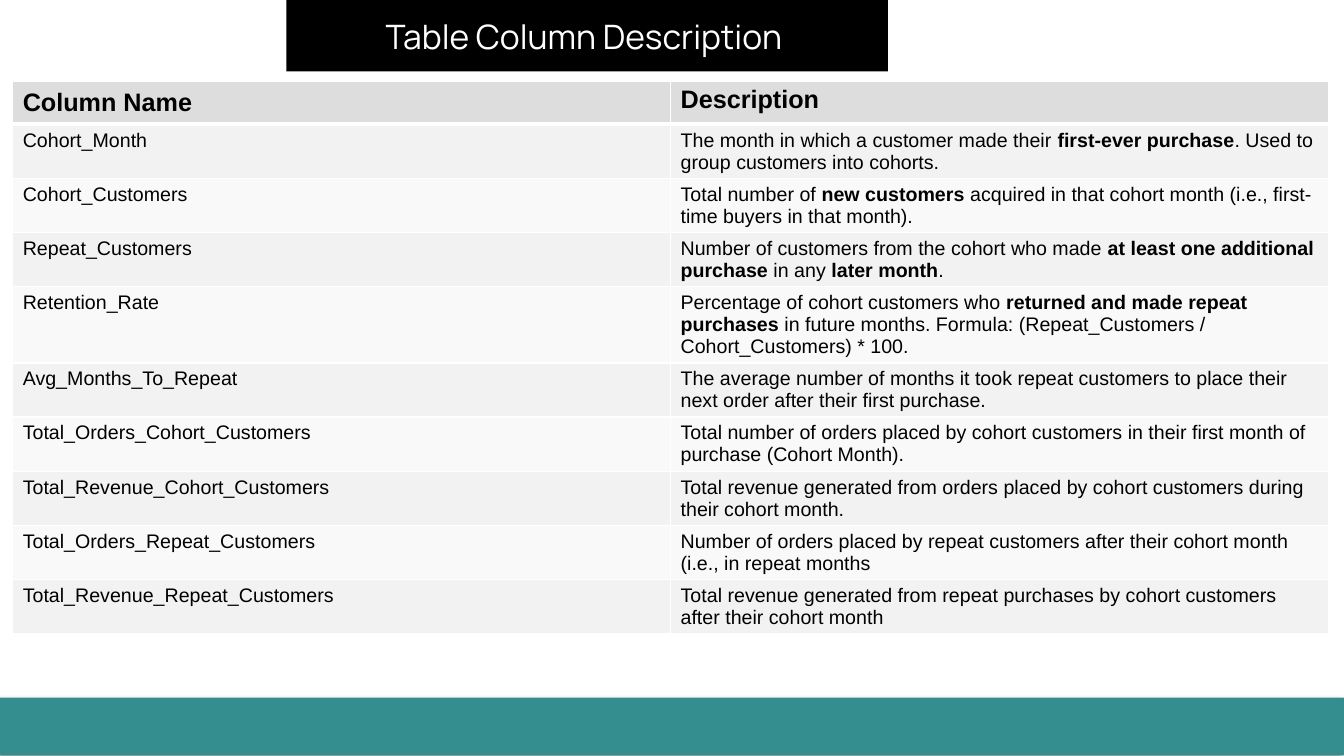
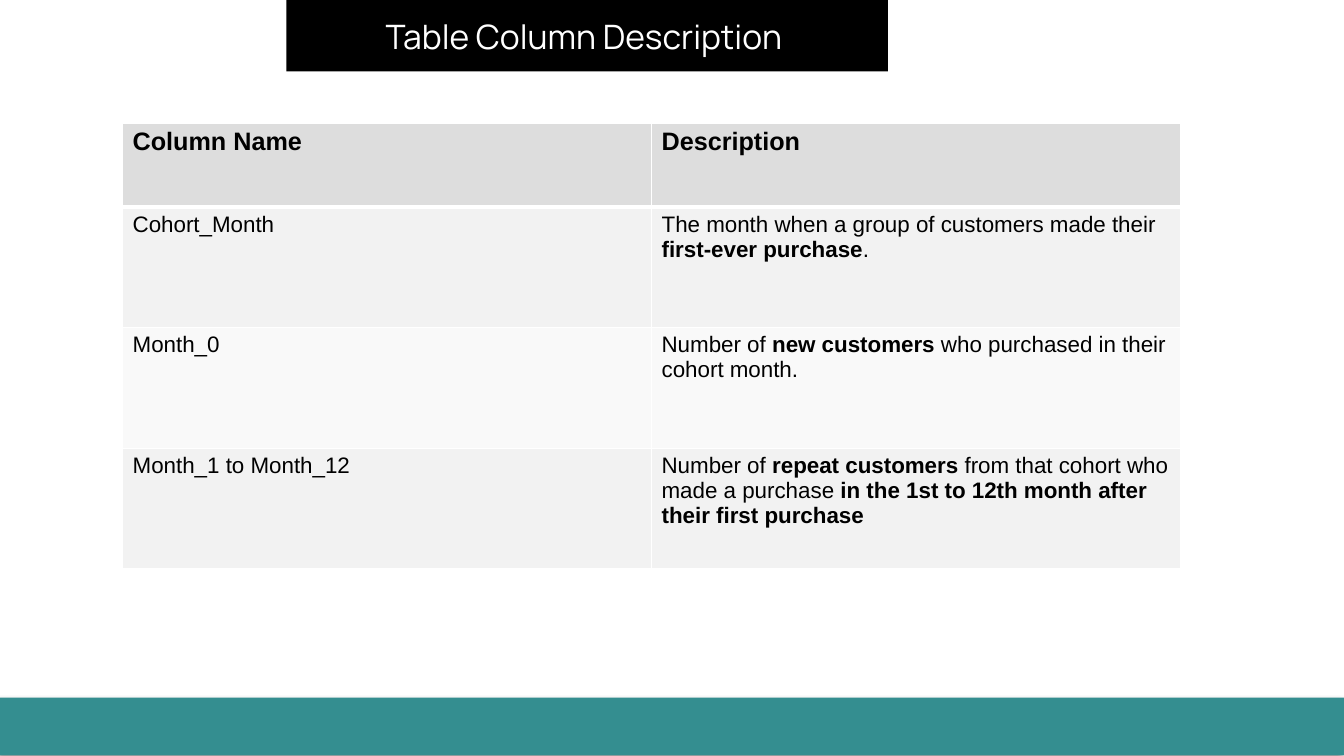
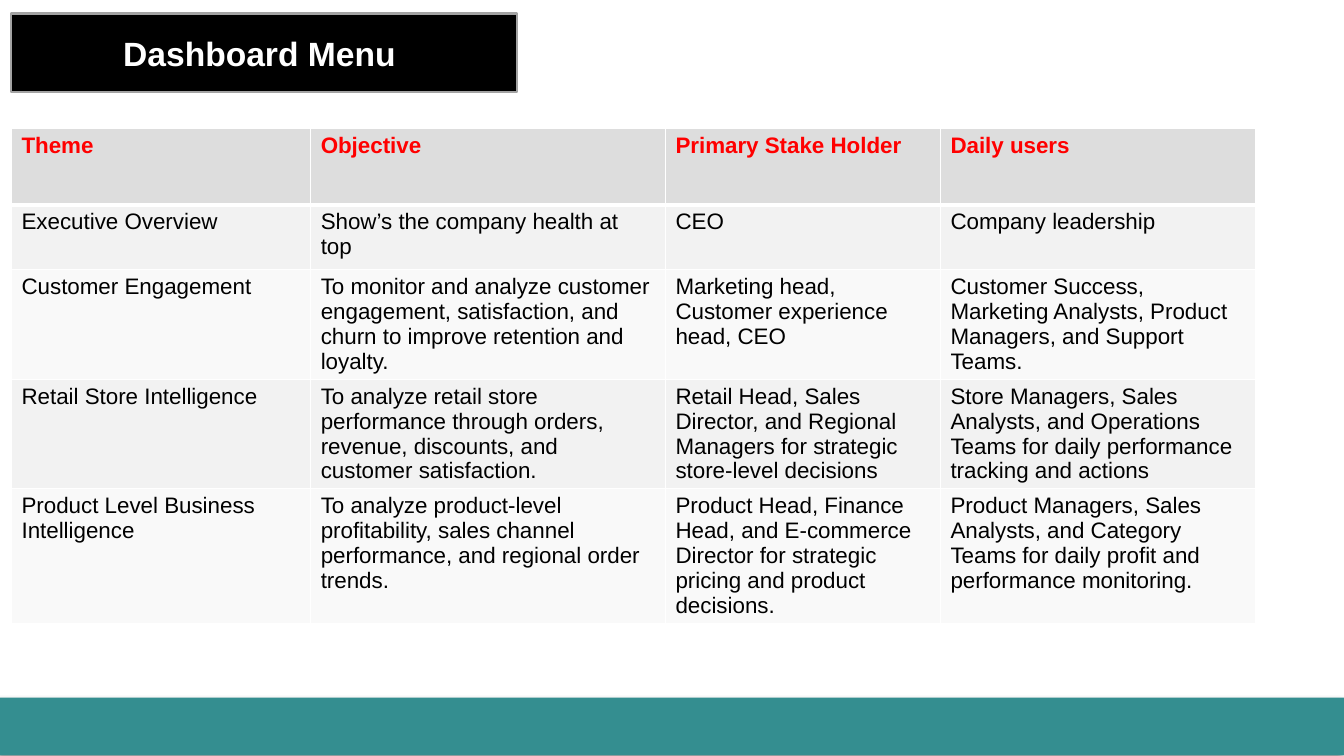
from lxml import etree
from pptx import Presentation
from pptx.dml.color import RGBColor
from pptx.enum.shapes import MSO_SHAPE
from pptx.enum.text import MSO_ANCHOR, PP_ALIGN
from pptx.oxml import parse_xml
from pptx.oxml.ns import nsdecls, qn
from pptx.util import Cm, Pt

RECTANGLE = MSO_SHAPE.RECTANGLE
MIDDLE = MSO_ANCHOR.MIDDLE
CENTER = PP_ALIGN.CENTER

# Shared look
WIDTH, HEIGHT = 33.87, 19.05
BLACK, WHITE, RED, TEAL, GREY = "000000", "FFFFFF", "FF0000", "348E90", "A3A3A3"
HEADER_FILL = "DDDDDD"
ROW_FILLS = ("F2F2F2", "F9F9F9")
FOOTER_BOX = (0, 17.58, WIDTH, 1.45)
COLUMN_TITLE = {
    "text": "Table Column Description ", "box": (7.22, 0, 15.16, 1.8),
    "font": {"name": "Manrope", "size": 24, "color": WHITE}, "line": None,
}
MENU_TITLE = {
    "text": "Dashboard Menu ", "box": (0.28, 0.34, 12.75, 1.98),
    "font": {"name": "Arial", "size": 24, "color": WHITE, "bold": True},
    "line": GREY,
}

# Content: a pair of ** marks bold words
COHORT_ROWS = [
    ("Column Name", "Description"),
    ("Cohort_Month", "The month in which a customer made their **first-ever "
     "purchase**. Used to group customers into cohorts."),
    ("Cohort_Customers", "Total number of **new customers** acquired in that "
     "cohort month (i.e., first-time buyers in that month)."),
    ("Repeat_Customers", "Number of customers from the cohort who made **at "
     "least one additional purchase** in any **later month**."),
    ("Retention_Rate", "Percentage of cohort customers who **returned and made "
     "repeat purchases** in future months. Formula: (Repeat_Customers / "
     "Cohort_Customers) * 100."),
    ("Avg_Months_To_Repeat", "The average number of months it took repeat "
     "customers to place their next order after their first purchase."),
    ("Total_Orders_Cohort_Customers", "Total number of orders placed by cohort "
     "customers in their first month of purchase (Cohort Month)."),
    ("Total_Revenue_Cohort_Customers", "Total revenue generated from orders "
     "placed by cohort customers during their cohort month."),
    ("Total_Orders_Repeat_Customers", "Number of orders placed by repeat "
     "customers after their cohort month (i.e., in repeat months"),
    ("Total_Revenue_Repeat_Customers", "Total revenue generated from repeat "
     "purchases by cohort customers after their cohort month"),
]
MONTH_ROWS = [
    ("Column Name", "Description"),
    ("Cohort_Month", "The month when a group of customers made their "
     "**first-ever purchase**."),
    ("Month_0", "Number of **new customers** who purchased in their cohort "
     "month."),
    ("Month_1 to Month_12", "Number of **repeat customers** from that cohort "
     "who made a purchase **in the 1st to 12th month after their first "
     "purchase**"),
]
MENU_ROWS = [
    ("Theme", "Objective", "Primary Stake Holder", "Daily users"),
    ("Executive Overview", "Show’s the company health at top", "CEO",
     "Company leadership"),
    ("Customer Engagement",
     "To monitor and analyze customer engagement, satisfaction, and churn to "
     "improve retention and loyalty.",
     "Marketing head, Customer experience head, CEO",
     "Customer Success, Marketing Analysts, Product Managers, and Support "
     "Teams."),
    ("Retail Store Intelligence",
     "To analyze retail store performance through orders, revenue, discounts, "
     "and customer satisfaction.",
     "Retail Head, Sales Director, and Regional Managers for strategic "
     "store-level decisions",
     "Store Managers, Sales Analysts, and Operations Teams for daily "
     "performance tracking and actions"),
    ("Product Level Business Intelligence",
     "To analyze product-level profitability, sales channel performance, and "
     "regional order trends.",
     "Product Head, Finance Head, and E-commerce Director for strategic "
     "pricing and product decisions.",
     "Product Managers, Sales Analysts, and Category Teams for daily profit "
     "and performance monitoring."),
]
PAGES = [
    {"title": COLUMN_TITLE, "rows": COHORT_ROWS, "at": (0.32, 2.04),
     "columns": [16.58] * 2, "heights": [1.09] + [1.04] * 9,
     "header": (18, BLACK), "body": 14, "middle_cells": {(0, 0)}},
    {"title": COLUMN_TITLE, "rows": MONTH_ROWS, "at": (3.09, 3.1),
     "columns": [13.33] * 2, "heights": [2.12] + [3.04] * 3,
     "header": (18, BLACK), "body": 16, "middle_cells": set()},
    {"title": MENU_TITLE, "rows": MENU_ROWS, "at": (0.29, 3.24),
     "columns": [7.54, 8.94, 6.93, 7.95],
     "heights": [1.92, 1.63] + [1.92] * 3,
     "header": (16, RED), "body": 16, "middle_cells": set()},
]


def rgb(value):
    return RGBColor.from_string(value)


def write(para, text, values):
    """Add text to a paragraph, bold between ** marks."""
    for index, part in enumerate(text.split("**")):
        if not part:
            continue
        span = para.add_run()
        span.text = part
        settings = {"name": values["name"], "size": Pt(values["size"]),
                    "bold": values.get("bold", False) or index % 2 == 1}
        for key, value in settings.items():
            setattr(span.font, key, value)
        span.font.color.rgb = rgb(values["color"])


def add_rectangle(page, box, fill, line=None):
    shape = page.shapes.add_shape(RECTANGLE, *map(Cm, box))
    shape.shadow.inherit = False
    shape.fill.solid()
    shape.fill.fore_color.rgb = rgb(fill)
    if line:
        shape.line.color.rgb = rgb(line)
        shape.line.width = Pt(2)
    else:
        shape.line.fill.background()
    return shape


def add_footer(page):
    band = add_rectangle(page, FOOTER_BOX, TEAL)
    effects = band._element.spPr.find(qn("a:effectLst"))
    effects.append(parse_xml(
        f'<a:outerShdw {nsdecls("a")} blurRad="{Pt(4)}" dist="{Pt(3)}" '
        f'dir="8100000" rotWithShape="0"><a:srgbClr val="{BLACK}">'
        '<a:alpha val="40000"/></a:srgbClr></a:outerShdw>'))


def add_title(page, title):
    box = add_rectangle(page, title["box"], BLACK, title["line"])
    frame = box.text_frame
    frame.word_wrap = True
    frame.vertical_anchor = MIDDLE
    frame.paragraphs[0].alignment = CENTER
    write(frame.paragraphs[0], title["text"], title["font"])


def set_borders(cell, widths):
    properties = cell._tc.get_or_add_tcPr()
    for side, width in widths.items():
        line = etree.SubElement(properties, qn(f"a:ln{side}"), w=str(Pt(width)))
        fill = etree.SubElement(line, qn("a:solidFill"))
        etree.SubElement(fill, qn("a:srgbClr"), val=WHITE)


def add_table(page, data):
    rows, columns, heights = data["rows"], data["columns"], data["heights"]
    place = (*data["at"], sum(columns), sum(heights))
    table = page.shapes.add_table(len(rows), len(columns),
                                  *map(Cm, place)).table
    table.horz_banding = False
    for column, width in zip(table.columns, columns):
        column.width = Cm(width)
    for row, height in zip(table.rows, heights):
        row.height = Cm(height)

    header_size, header_color = data["header"]
    header = {"name": "Arial", "size": header_size, "color": header_color,
              "bold": True}
    body = {"name": "Arial", "size": data["body"], "color": BLACK}
    for row_index, texts in enumerate(rows):
        is_header = row_index == 0
        # A thick rule parts the header from the first body row
        borders = {"L": 1, "R": 1, "T": 3 if row_index == 1 else 1,
                   "B": 3 if is_header else 1}
        fill = HEADER_FILL if is_header else ROW_FILLS[(row_index - 1) % 2]
        for column_index, text in enumerate(texts):
            cell = table.cell(row_index, column_index)
            set_borders(cell, borders)
            cell.fill.solid()
            cell.fill.fore_color.rgb = rgb(fill)
            if (row_index, column_index) in data["middle_cells"]:
                cell.vertical_anchor = MIDDLE
            write(cell.text_frame.paragraphs[0], text,
                  header if is_header else body)


def main():
    deck = Presentation()
    deck.slide_width, deck.slide_height = Cm(WIDTH), Cm(HEIGHT)
    for data in PAGES:
        page = deck.slides.add_slide(deck.slide_layouts[6])
        add_footer(page)
        add_title(page, data["title"])
        add_table(page, data)
    deck.save("out.pptx")


if __name__ == "__main__":
    main()
